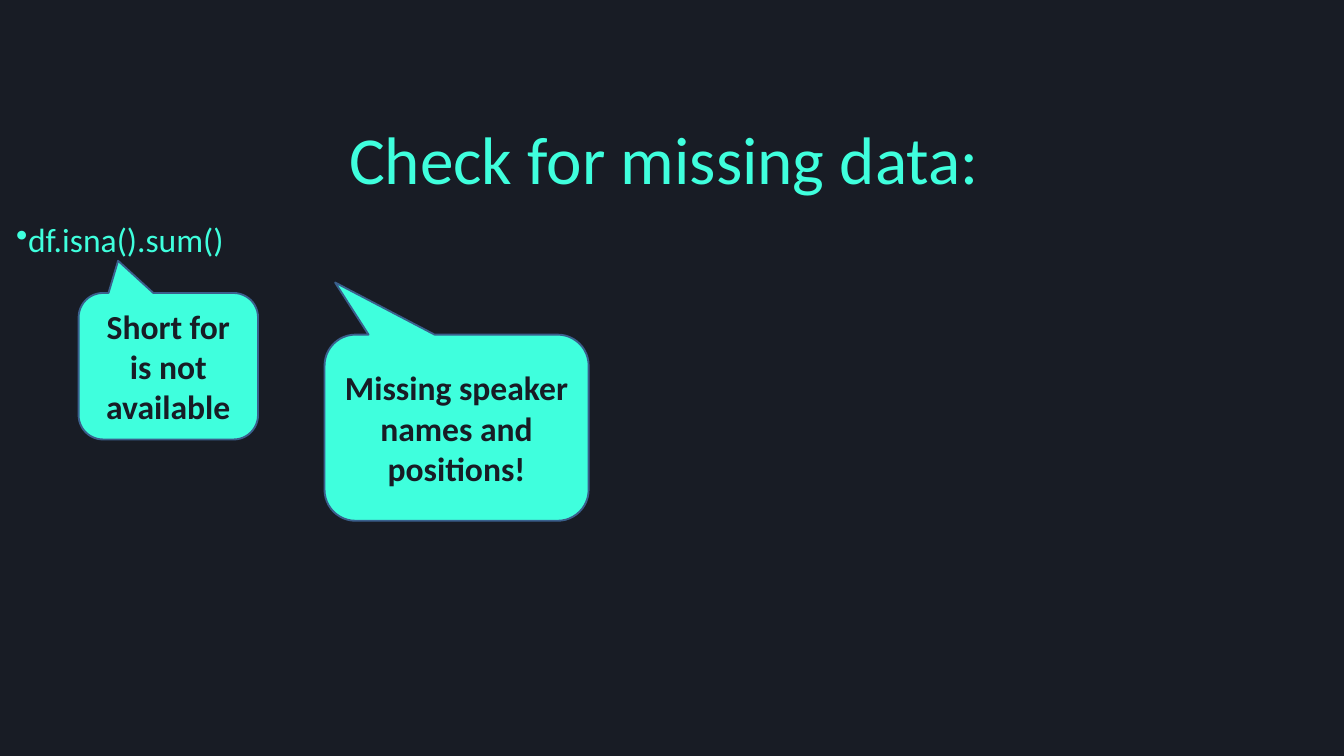
import dataclasses

import lxml.etree
import pptx
import pptx.dml.color
import pptx.enum.shapes
import pptx.enum.text
import pptx.oxml.ns
import pptx.util

SCALE = 9144  # EMU per px, 100 px to the inch


@dataclasses.dataclass(frozen=True)
class Theme:
    font: str = "Calibri"
    back: str = "181C25"
    mint: str = "3FFFDD"
    edge: str = "3A5F8C"
    title: int = 72
    body: int = 36
    lead: float = 190.4
    line: int = 2


THEME = Theme()
ALIGN = pptx.enum.text.PP_ALIGN


def px(*sizes):
    return [size * SCALE for size in sizes]


def tint(code):
    return pptx.dml.color.RGBColor.from_string(code)


def paint(fill, code):
    fill.solid()
    fill.fore_color.rgb = tint(code)


def write(frame, text, size, color, align, bold=False):
    """Put one run into the first paragraph and return that paragraph."""
    frame.word_wrap = True
    para = frame.paragraphs[0]
    para.alignment = align
    run = para.add_run()
    run.text = text
    font = run.font
    font.name = THEME.font
    font.size = pptx.util.Pt(size)
    font.bold = bold
    font.color.rgb = tint(color)
    return para


def add_text(slide, box, text, size, align):
    """Add a mint text box without insets and return its paragraph."""
    frame = slide.shapes.add_textbox(*px(*box)).text_frame
    frame.margin_left = frame.margin_right = 0
    frame.margin_top = frame.margin_bottom = 0
    return write(frame, text, size, THEME.mint, align)


def add_dot(para):
    """Give the paragraph a bullet with no hanging indent."""
    props = para._p.get_or_add_pPr()
    props.set("marL", "0")
    props.set("indent", "0")
    dot = lxml.etree.SubElement(props, pptx.oxml.ns.qn("a:buChar"))
    dot.set("char", "•")


def add_note(slide, box, tip, text):
    """Add a callout; tip is its point, as shares of the size from the centre."""
    kind = pptx.enum.shapes.MSO_SHAPE.ROUNDED_RECTANGULAR_CALLOUT
    note = slide.shapes.add_shape(kind, *px(*box))
    note.shadow.inherit = False
    note.adjustments[0], note.adjustments[1] = tip
    paint(note.fill, THEME.mint)
    paint(note.line.fill, THEME.edge)
    note.line.width = pptx.util.Pt(THEME.line)
    frame = note.text_frame
    frame.vertical_anchor = pptx.enum.text.MSO_ANCHOR.MIDDLE
    write(frame, text, THEME.body, THEME.back, ALIGN.CENTER, bold=True)


def main():
    deck = pptx.Presentation()
    deck.slide_width, deck.slide_height = px(2000, 1125)
    slide = deck.slides.add_slide(deck.slide_layouts[6])
    paint(slide.background.fill, THEME.back)

    title = add_text(slide, (33, 30, 1933, 224), "Check for missing data: ",
                     THEME.title, ALIGN.CENTER)
    title.line_spacing = pptx.util.Pt(THEME.lead)

    code = add_text(slide, (24, 326, 1951, 438), "df.isna().sum()",
                    THEME.body, ALIGN.LEFT)
    add_dot(code)

    add_note(slide, (117, 436, 267, 218), (-0.28, -0.72),
             "Short for is not available")
    add_note(slide, (483, 498, 393, 277), (-0.46, -0.78),
             "Missing speaker names and positions!")

    deck.save("out.pptx")


if __name__ == "__main__":
    main()
